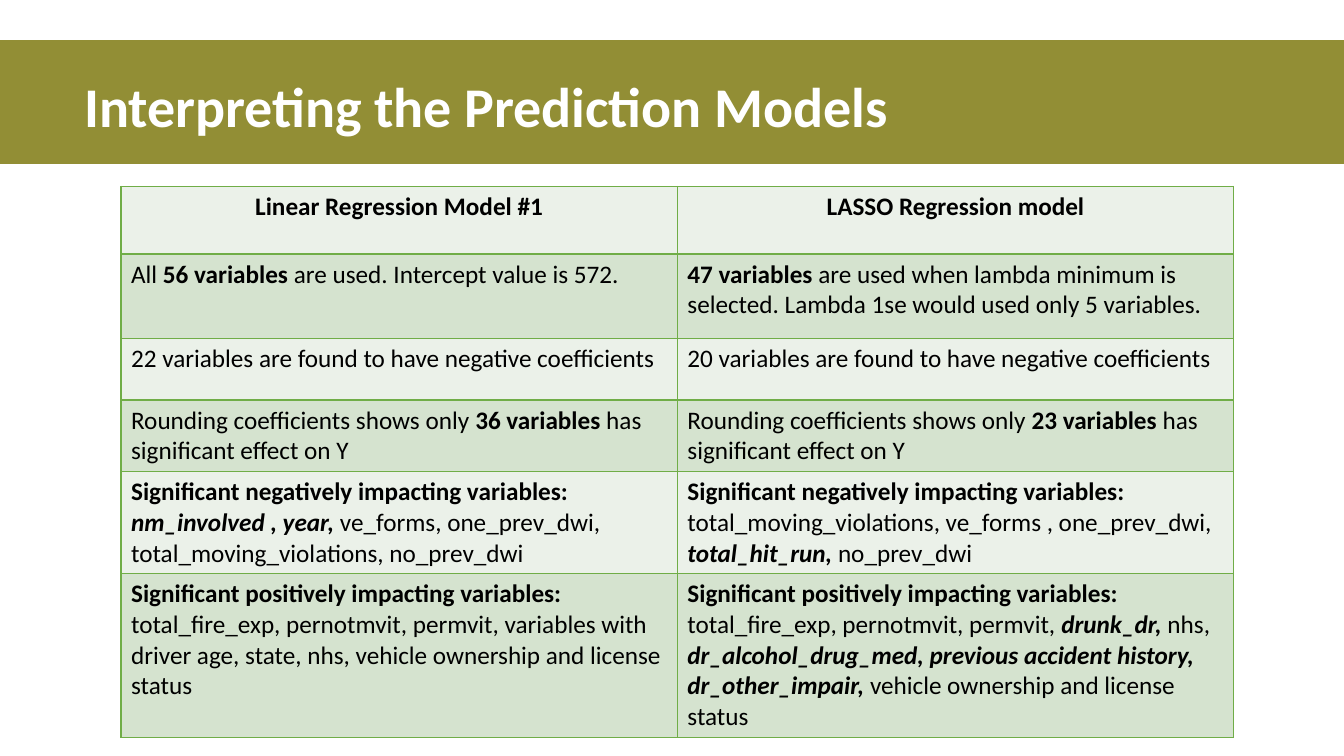
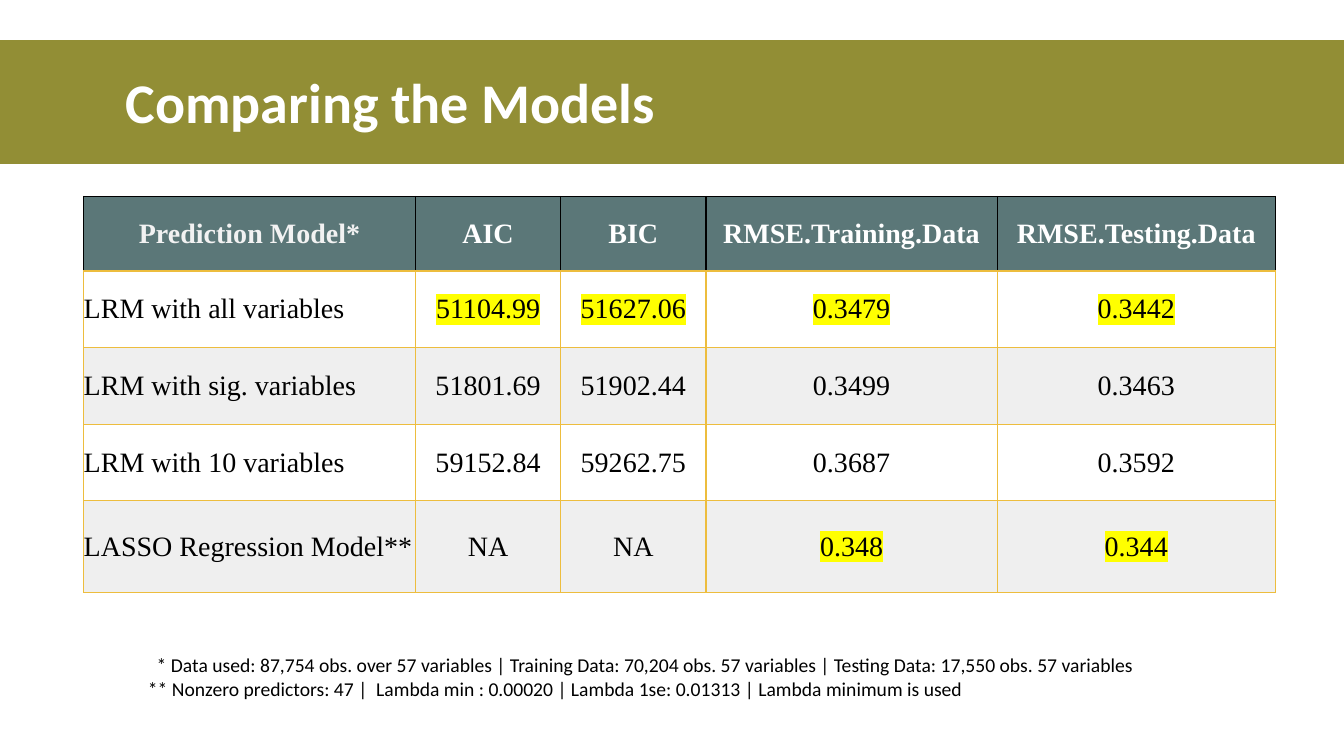
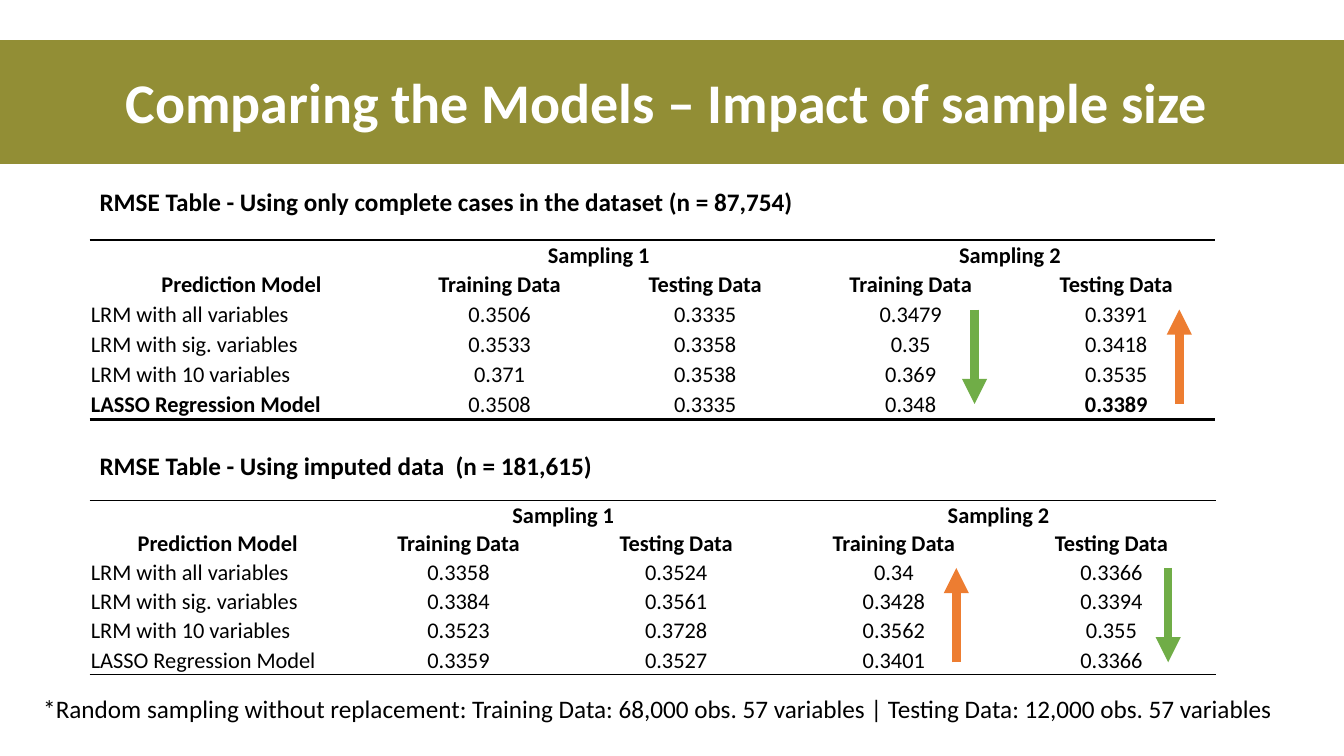
from lxml.etree import SubElement
from pptx import Presentation
from pptx.dml.color import RGBColor
from pptx.enum.shapes import MSO_CONNECTOR, MSO_SHAPE
from pptx.enum.text import MSO_ANCHOR, PP_ALIGN
from pptx.oxml import parse_xml
from pptx.oxml.ns import nsdecls, qn
from pptx.util import Cm, Pt

OLIVE = RGBColor(0x92, 0x8E, 0x35)
WHITE = RGBColor(0xFF, 0xFF, 0xFF)
BLACK = RGBColor(0x00, 0x00, 0x00)
GREEN = RGBColor(0x70, 0xAD, 0x47)
ORANGE = RGBColor(0xED, 0x7D, 0x31)
AMBER = RGBColor(0xED, 0xBD, 0x3E)
TEAL = RGBColor(0x5B, 0x77, 0x78)
OFF_WHITE = RGBColor(0xF2, 0xF2, 0xF2)
LIGHT_GREY = RGBColor(0xEF, 0xEF, 0xEF)
YELLOW = RGBColor(0xFF, 0xFF, 0x00)
PALE_GREEN = RGBColor(0xEB, 0xF1, 0xE9)
SOFT_GREEN = RGBColor(0xD5, 0xE3, 0xCF)

SANS = "Calibri"
SERIF = "Times New Roman"
PLAIN_TABLE_STYLE = "{2D5ABB26-0587-4C30-8999-92F81FD0307C}"

NEGATIVE = ("Significant negatively impacting variables: ", "b")
POSITIVE = ("Significant positively impacting variables:", "b")
INTERPRETATION = [
    ([[("Linear Regression Model #1", "b")]],
     [[("LASSO Regression model", "b")]]),
    ([[("All ", ""), ("56 variables", "b"), (" are used. Intercept value is 572.", "")]],
     [[("47 variables", "b"),
       (" are used when lambda minimum is selected. Lambda 1se would used only 5 variables.", "")]]),
    (["22 variables are found to have negative coefficients"],
     ["20 variables are found to have negative coefficients"]),
    *[tuple([[("Rounding coefficients shows only ", ""), (f"{count} variables", "b"),
              (" has significant effect on Y", "")]] for count in (36, 23))],
    ([[NEGATIVE, ("nm_involved , year, ", "bi"),
       ("ve_forms, one_prev_dwi, total_moving_violations, no_prev_dwi", "")]],
     [[NEGATIVE],
      [("total_moving_violations, ve_forms , one_prev_dwi, ", ""),
       ("total_hit_run, ", "bi"), ("no_prev_dwi", "")]]),
    ([[POSITIVE],
      "total_fire_exp, pernotmvit, permvit, variables with driver age, state, nhs, "
      "vehicle ownership and license status"],
     [[POSITIVE],
      [("total_fire_exp, pernotmvit, permvit, ", ""), ("drunk_dr, ", "bi"), ("nhs, ", ""),
       ("dr_alcohol_drug_med, previous accident history, dr_other_impair, ", "bi"),
       ("vehicle ownership and license status", "")]]),
]

COMPARISON = [
    ("Prediction Model*", "AIC", "BIC", "RMSE.Training.Data", "RMSE.Testing.Data"),
    ("LRM with all variables", "51104.99", "51627.06", "0.3479", "0.3442"),
    ("LRM with sig. variables", "51801.69", "51902.44", "0.3499", "0.3463"),
    ("LRM with 10 variables", "59152.84", "59262.75", "0.3687", "0.3592"),
    ("LASSO Regression Model**", "NA", "NA", "0.348", "0.344"),
]
BEST_SCORES = {"51104.99", "51627.06", "0.3479", "0.3442", "0.348", "0.344"}

RMSE_HEADER = [
    ("", "Sampling 1", "", "Sampling 2", ""),
    ("Prediction Model",) + ("Training Data", "Testing Data") * 2,
]
COMPLETE_CASES = [
    ("LRM with all variables", "0.3506", "0.3335", "0.3479", "0.3391"),
    ("LRM with sig. variables", "0.3533", "0.3358", "0.35", "0.3418"),
    ("LRM with 10 variables", "0.371", "0.3538", "0.369", "0.3535"),
    ("LASSO Regression Model", "0.3508", "0.3335", "0.348", "0.3389"),
]
IMPUTED_DATA = [
    ("LRM with all variables", "0.3358", "0.3524", "0.34", "0.3366"),
    ("LRM with sig. variables", "0.3384", "0.3561", "0.3428", "0.3394"),
    ("LRM with 10 variables", "0.3523", "0.3728", "0.3562", "0.355"),
    ("LASSO Regression Model", "0.3359", "0.3527", "0.3401", "0.3366"),
]


def write_text(frame, paragraphs, size=18, font=SANS, color=BLACK, align=PP_ALIGN.LEFT,
               style="", line_spacing=None, space=None):
    """Write paragraphs, each a string or (text, style) runs; b bold, i italic, h highlight."""
    for index, content in enumerate(paragraphs):
        paragraph = frame.add_paragraph() if index else frame.paragraphs[0]
        paragraph.alignment = align
        if line_spacing:
            paragraph.line_spacing = line_spacing
        if space:
            paragraph.space_before = paragraph.space_after = Pt(space)
        runs = [(content, style)] if isinstance(content, str) else content
        for text, run_style in runs:
            if not text:
                paragraph._p.get_or_add_endParaRPr().set("sz", str(size * 100))
                continue
            run = paragraph.add_run()
            run.text = text
            run.font.size = Pt(size)
            run.font.name = font
            run.font.bold = "b" in run_style
            run.font.italic = "i" in run_style
            run.font.color.rgb = color
            if "h" in run_style:
                highlight = parse_xml(f'<a:highlight {nsdecls("a")}>'
                                      f'<a:srgbClr val="{YELLOW}"/></a:highlight>')
                run.font._element.find(qn("a:latin")).addprevious(highlight)


def add_text(slide, left, top, width, height, paragraphs, anchor=MSO_ANCHOR.TOP, **text_format):
    box = slide.shapes.add_textbox(Cm(left), Cm(top), Cm(width), Cm(height))
    box.text_frame.word_wrap = True
    box.text_frame.vertical_anchor = anchor
    write_text(box.text_frame, paragraphs, **text_format)
    return box


def add_titled_slide(presentation, title, left=2.92, top=0.81):
    slide = presentation.slides.add_slide(presentation.slide_layouts[6])
    band = slide.shapes.add_shape(MSO_SHAPE.RECTANGLE, Cm(-0.43), Cm(1.02), Cm(34.65), Cm(3.1))
    band.shadow.inherit = False
    band.fill.solid()
    band.fill.fore_color.rgb = OLIVE
    band.line.color.rgb = OLIVE
    band.line.width = Pt(1)
    add_text(slide, left, top, 29.21, 3.68, [title], anchor=MSO_ANCHOR.MIDDLE,
             size=40, color=WHITE, style="b", line_spacing=0.9)
    return slide


def add_plain_table(slide, left, top, widths, heights):
    frame = slide.shapes.add_table(len(heights), len(widths), Cm(left), Cm(top),
                                   Cm(sum(widths)), Cm(sum(heights)))
    table = frame.table
    table.first_row = table.horz_banding = False
    table._tbl.tblPr.find(qn("a:tableStyleId")).text = PLAIN_TABLE_STYLE
    for column, width in zip(table.columns, widths):
        column.width = Cm(width)
    for row, height in zip(table.rows, heights):
        row.height = Cm(height)
    return table


def format_cell(cell, paragraphs, fill, borders, margins=None, anchor=MSO_ANCHOR.TOP,
                **text_format):
    """Fill one cell; borders maps a side (L, R, T, B) to its colour and width."""
    if margins:
        cell.margin_left, cell.margin_top, cell.margin_right, cell.margin_bottom = map(Cm, margins)
    cell.vertical_anchor = anchor
    properties = cell._tc.get_or_add_tcPr()
    for side in "LRTB":
        if side in borders:
            color, width = borders[side]
            line = SubElement(properties, qn(f"a:ln{side}"), w=str(Pt(width)))
            SubElement(SubElement(line, qn("a:solidFill")), qn("a:srgbClr"), val=str(color))
    cell.fill.solid()
    cell.fill.fore_color.rgb = fill
    write_text(cell.text_frame, paragraphs, **text_format)


def add_interpretation_table(slide, left, top):
    table = add_plain_table(slide, left, top, [14.02] * 2, [1.7, 2.13, 1.55, 1.8, 2.57, 4.14])
    borders = dict.fromkeys("LRTB", (GREEN, 1))
    for row, contents in enumerate(INTERPRETATION):
        for column, paragraphs in enumerate(contents):
            format_cell(table.cell(row, column), paragraphs,
                        SOFT_GREEN if row % 2 else PALE_GREEN, borders,
                        align=PP_ALIGN.LEFT if row else PP_ALIGN.CENTER)


def add_comparison_table(slide, left, top):
    table = add_plain_table(slide, left, top, [8.36, 3.66, 3.66, 7.34, 7.01],
                            [1.88, 1.93, 1.93, 1.93, 2.31])
    body_borders = dict.fromkeys("LRTB", (AMBER, 1))
    header_borders = {**dict.fromkeys("LRT", (BLACK, 1)), "B": (AMBER, 1)}
    for row, texts in enumerate(COMPARISON):
        for column, text in enumerate(texts):
            if row == 0:
                fill, borders, style = TEAL, header_borders, "b"
                color = WHITE if column else OFF_WHITE
            else:
                fill, borders, color = (WHITE if row % 2 else LIGHT_GREY), body_borders, BLACK
                style = "h" if text in BEST_SCORES else ""
            centred = row == 0 or column > 0
            format_cell(table.cell(row, column), [text], fill, borders, margins=(0, 0, 0, 0),
                        anchor=MSO_ANCHOR.MIDDLE, size=20, font=SERIF, color=color, style=style,
                        space=2, align=PP_ALIGN.CENTER if centred else PP_ALIGN.LEFT)


def add_trend_arrow(slide, x, top, length, rising):
    start, end = (top + length, top) if rising else (top, top + length)
    arrow = slide.shapes.add_connector(MSO_CONNECTOR.STRAIGHT, Cm(x), Cm(start), Cm(x), Cm(end))
    arrow.line.width = Pt(6)
    arrow.line.color.rgb = ORANGE if rising else GREEN
    SubElement(arrow.line._get_or_add_ln(), qn("a:tailEnd"), type="triangle")
    SubElement(arrow._element.spPr, qn("a:effectLst"))


def add_rmse_table(slide, left, top, widths, heights, scores, rule_width, arrows, bold=()):
    """Place a ruled table and its trend arrows, given as (offset from left, rising)."""
    table = add_plain_table(slide, left, top, widths, heights)
    rule = (BLACK, rule_width)
    rows = RMSE_HEADER + scores
    for row, texts in enumerate(rows):
        borders = {"T": rule} if row == 0 else {"B": rule} if row == len(rows) - 1 else {}
        header = row < len(RMSE_HEADER)
        for column, text in enumerate(texts):
            format_cell(table.cell(row, column), [text], WHITE, borders,
                        margins=(0.03, 0.03, 0.03, 0), size=16,
                        anchor=MSO_ANCHOR.MIDDLE if row else MSO_ANCHOR.BOTTOM,
                        style="b" if header or text in bold else "",
                        align=PP_ALIGN.CENTER if header or column else PP_ALIGN.LEFT)
    for column in (1, 3):
        table.cell(0, column).merge(table.cell(0, column + 1))
    arrow_top = top + sum(heights[:2]) + 0.27
    for offset, rising in arrows:
        add_trend_arrow(slide, left + offset, arrow_top, 2.38, rising)


def build_interpretation(presentation):
    slide = add_titled_slide(presentation, "Interpreting the Prediction Models", 1.88, 0.91)
    add_interpretation_table(slide, 3.05, 4.7)


def build_comparison(presentation):
    slide = add_titled_slide(presentation, "Comparing the Models")
    add_comparison_table(slide, 2.11, 4.95)
    notes = add_text(slide, 3.48, 16.33, 27.13, 1.45, [
        "* Data used: 87,754 obs. over 57 variables | Training Data: 70,204 obs. 57 variables"
        " | Testing Data: 17,550 obs. 57 variables",
        "** Nonzero predictors: 47 |  Lambda min : 0.00020 | Lambda 1se: 0.01313"
        " | Lambda minimum is used"], size=14)
    notes.text_frame.paragraphs[0]._p.get_or_add_pPr().set("marL", str(Cm(0.22)))


def build_sample_size(presentation):
    slide = add_titled_slide(presentation, "Comparing the Models – Impact of sample size")
    left = 2.26
    add_text(slide, 0.84, 17.35, 32.18, 1.02, [
        "*Random sampling without replacement: Training Data: 68,000 obs. 57 variables"
        " | Testing Data: 12,000 obs. 57 variables"])
    for top, heading in (
            (4.57, "RMSE Table - Using only complete cases in the dataset (n = 87,754)"),
            (11.23, "RMSE Table - Using imputed data  (n = 181,615)")):
        add_text(slide, left, top, 18.14, 1.02, [heading], style="b")
    add_rmse_table(slide, left, 6.05, [7.65] + [5.36, 5] * 2, [0.74] * 2 + [0.76] * 4,
                   COMPLETE_CASES, 2, [(22.3, False), (27.46, True)],
                   bold=("LASSO Regression Model", "0.3389"))
    add_rmse_table(slide, left, 12.62, [6.45] + [5.69, 5.28] * 2, [0.71] * 2 + [0.74] * 4,
                   IMPUTED_DATA, 1, [(21.84, True), (27.18, False)])


def main():
    presentation = Presentation()
    presentation.slide_width, presentation.slide_height = Cm(33.87), Cm(19.05)
    build_interpretation(presentation)
    build_comparison(presentation)
    build_sample_size(presentation)
    presentation.save("out.pptx")


if __name__ == "__main__":
    main()
